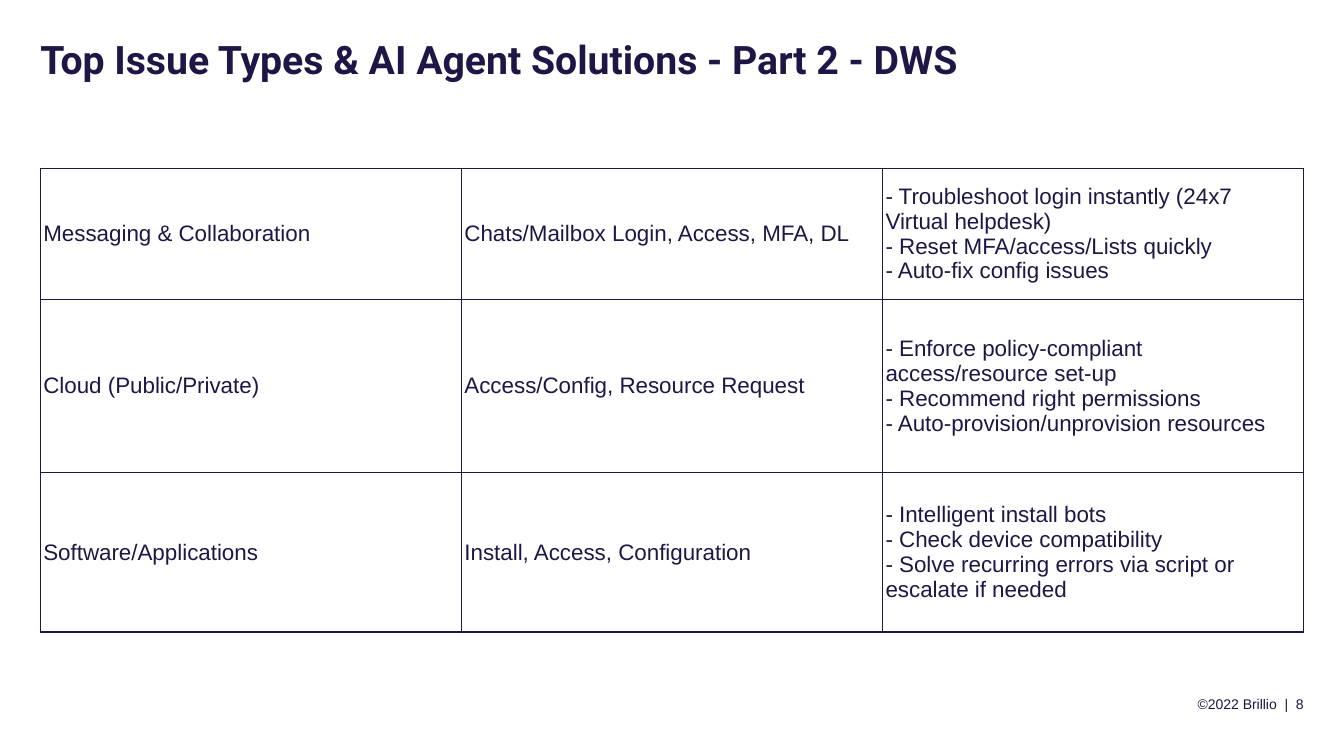
"""Build the slide of top issue types and their AI agent solutions."""
from dataclasses import dataclass

from lxml import etree
from pptx import Presentation
from pptx.dml.color import RGBColor
from pptx.enum.text import MSO_ANCHOR, PP_ALIGN
from pptx.oxml.ns import qn
from pptx.util import Inches, Pt

TOP, MIDDLE, BOTTOM = MSO_ANCHOR.TOP, MSO_ANCHOR.MIDDLE, MSO_ANCHOR.BOTTOM
LEFT, RIGHT = PP_ALIGN.LEFT, PP_ALIGN.RIGHT


@dataclass(frozen=True)
class Theme:
    ink: str = "201646"
    heading_font: str = "Roboto"
    body_font: str = "Arial"
    title_size: int = 28
    table_size: int = 16
    footer_size: int = 10
    border_width: int = 1


THEME = Theme()
MARGIN, CONTENT_WIDTH = 0.4, 12.53
ROW_HEIGHTS = [1.3, 1.72, 1.58]
ISSUES = [
    ("Messaging & Collaboration", "Chats/Mailbox Login, Access, MFA, DL",
     ["- Troubleshoot login instantly (24x7 Virtual helpdesk)",
      "- Reset MFA/access/Lists quickly",
      "- Auto-fix config issues"]),
    ("Cloud (Public/Private)", "Access/Config, Resource Request",
     ["- Enforce policy-compliant access/resource set-up",
      "- Recommend right permissions",
      "- Auto-provision/unprovision resources"]),
    ("Software/Applications", "Install, Access, Configuration",
     ["- Intelligent install bots",
      "- Check device compatibility",
      "- Solve recurring errors via script or escalate if needed"]),
]


def write_lines(paragraph, lines, size, font_name=THEME.body_font, bold=False, align=LEFT):
    """Write lines into one paragraph, separated by line breaks."""
    paragraph.alignment = align
    for index, line in enumerate(lines):
        if index:
            paragraph.add_line_break()
        run = paragraph.add_run()
        run.text = line
        run.font.name = font_name
        run.font.size = Pt(size)
        run.font.bold = bold
        run.font.color.rgb = RGBColor.from_string(THEME.ink)


def add_label(slide, left, top, width, height, anchor):
    """Add a text box without insets and return its first paragraph."""
    box = slide.shapes.add_textbox(Inches(left), Inches(top), Inches(width), Inches(height))
    frame = box.text_frame
    frame.word_wrap = True
    frame.vertical_anchor = anchor
    frame.margin_left = frame.margin_right = frame.margin_top = frame.margin_bottom = 0
    return frame.paragraphs[0]


presentation = Presentation()
presentation.slide_width = Inches(13.33)
presentation.slide_height = Inches(7.5)
slide = presentation.slides.add_slide(presentation.slide_layouts[6])

title = add_label(slide, MARGIN, 0.4, CONTENT_WIDTH, 1, TOP)
title.line_spacing = 0.9
write_lines(title, ["Top Issue Types & AI Agent Solutions - Part 2 - DWS"],
            THEME.title_size, THEME.heading_font, bold=True)

table = slide.shapes.add_table(
    len(ISSUES), 3, Inches(MARGIN), Inches(1.67),
    Inches(CONTENT_WIDTH), Inches(sum(ROW_HEIGHTS))).table
table.first_row = table.horz_banding = False

for row_index, (issue_type, requests, solutions) in enumerate(ISSUES):
    table.rows[row_index].height = Inches(ROW_HEIGHTS[row_index])
    for column_index, lines in enumerate([[issue_type], [requests], solutions]):
        cell = table.cell(row_index, column_index)
        cell.vertical_anchor = MIDDLE
        cell.margin_left = cell.margin_right = Inches(0.03)
        cell.margin_top = cell.margin_bottom = Inches(0.02)
        write_lines(cell.text_frame.paragraphs[0], lines, THEME.table_size)
        properties = cell._tc.get_or_add_tcPr()
        for side in ("a:lnL", "a:lnR", "a:lnT", "a:lnB"):
            border = etree.SubElement(properties, qn(side), w=str(Pt(THEME.border_width)))
            border_fill = etree.SubElement(border, qn("a:solidFill"))
            etree.SubElement(border_fill, qn("a:srgbClr"), val=THEME.ink)
        cell.fill.background()

footer = add_label(slide, 10.78, 6.79, 2.15, 0.28, BOTTOM)
write_lines(footer, ["©2022 Brillio  |  8"], THEME.footer_size, align=RIGHT)

presentation.save("out.pptx")
